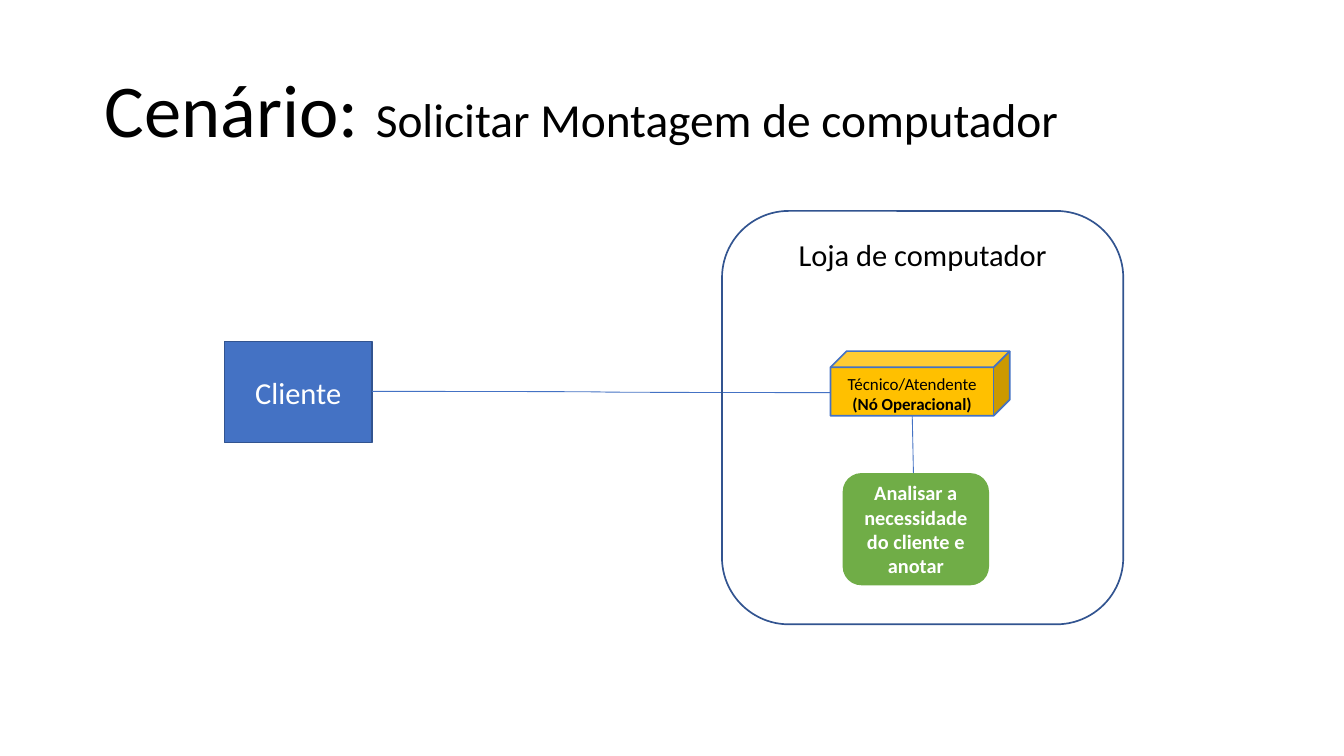
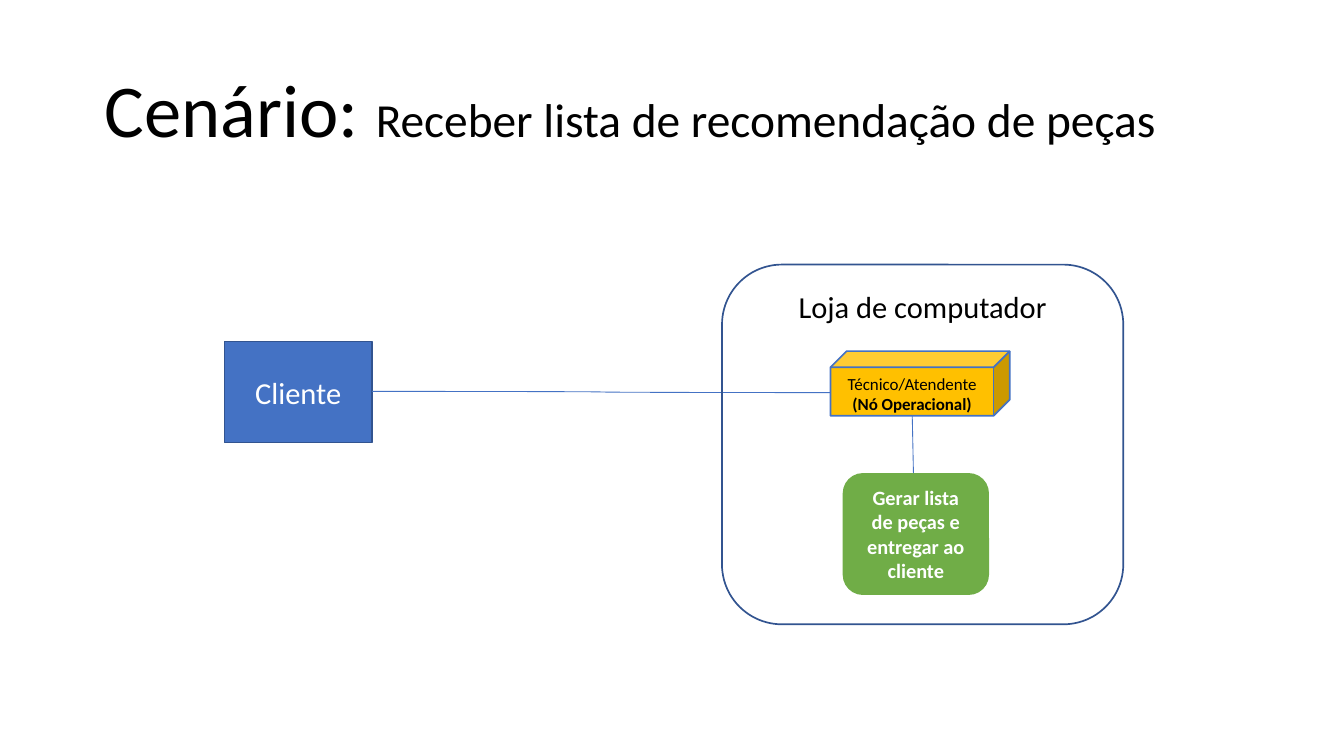
from lxml import etree
from pptx import Presentation
from pptx import util as u
from pptx.dml.color import RGBColor
from pptx.enum import shapes, text
from pptx.oxml.ns import qn

FONT = "Calibri"
BLACK, WHITE = "000000", "FFFFFF"
BLUE, NAVY, AMBER, GREEN = "4472C4", "325490", "FFC000", "70AD47"
SHAPE, LINK = shapes.MSO_SHAPE, shapes.MSO_CONNECTOR
TOP, MIDDLE = text.MSO_ANCHOR.TOP, text.MSO_ANCHOR.MIDDLE

TITLE_BOX = (0.76, 0.33, 9.51, 1.2)
DIAGRAM_BOX = (1.84, 1.73, 7.37, 3.39)
SCENARIOS = [
    ("Solicitar Montagem de computador", 0,
     "Analisar a necessidade do cliente e anotar", 0.92),
    ("Receber lista de recomendação de peças", 0.44,
     "Gerar lista de peças e entregar ao cliente", 1),
]


def paint(fmt, color):
    """Apply a solid hex colour to a fill, or clear it when there is none."""
    if color:
        fmt.solid()
        fmt.fore_color.rgb = RGBColor.from_string(color)
    else:
        fmt.background()


def style_run(r, size, color, bold=False):
    """Set the font of one run."""
    r.font.name, r.font.size, r.font.bold = FONT, u.Pt(size), bold
    paint(r.font.fill, color)


def add_node(s, kind, box, lines, size, color, fill=None, line=None,
             anchor=MIDDLE, bold=()):
    """Add a shape with centred lines of text, some of them bold."""
    sp = s.shapes.add_shape(kind, *map(u.Inches, box))
    sp.shadow.inherit = False
    paint(sp.fill, fill)
    paint(sp.line.fill, line)
    if line:
        sp.line.width = u.Pt(1)
    tf = sp.text_frame
    tf.word_wrap, tf.vertical_anchor = True, anchor
    tf.text = "\n".join(lines)
    for i, p in enumerate(tf.paragraphs):
        p.alignment = text.PP_ALIGN.CENTER
        style_run(p.runs[0], size, color, i in bold)


def add_link(s, kind, *ends):
    """Add a thin blue connector between two points."""
    c = s.shapes.add_connector(kind, *map(u.Inches, ends))
    paint(c.line.fill, BLUE)
    c.line.width = u.Pt(0.5)
    etree.SubElement(c.element.spPr, qn("a:effectLst"))


def add_title(s, box, scenario):
    """Add the title with a large label and a smaller scenario name."""
    tf = s.shapes.add_textbox(*map(u.Inches, box)).text_frame
    tf.word_wrap, tf.vertical_anchor = True, MIDDLE
    p = tf.paragraphs[0]
    p.line_spacing = 0.9
    for words, size in (("Cenário: ", 44), (scenario, 28)):
        r = p.add_run()
        r.text = words
        style_run(r, size, BLACK)


def add_diagram(s, box, shop_drop, task, task_height):
    """Add the client, the shop and the operational node with its task."""
    x, y, w, h = box
    shop_w, client_w = 3.29, 1.21
    node_x, node_y, node_h = x + 4.97, y + 1.15, 0.53
    task_y, link_y = y + 2.15, y + 1.48
    add_node(s, SHAPE.CUBE, (node_x, node_y, 1.47, node_h),
             ["Técnico/Atendente", "(Nó Operacional)"], 10, BLACK,
             AMBER, BLUE, TOP, bold=(1,))
    add_node(s, SHAPE.ROUNDED_RECTANGLE,
             (node_x + 0.1, task_y, 1.2, task_height),
             [task], 12, WHITE, GREEN, bold=(0,))
    add_node(s, SHAPE.RECTANGLE, (x, y + 1.07, client_w, 0.83),
             ["Cliente"], 18, WHITE, BLUE, NAVY)
    add_link(s, LINK.CURVE, x + client_w, link_y, node_x, link_y + 0.01)
    add_node(s, SHAPE.ROUNDED_RECTANGLE,
             (x + w - shop_w, y + shop_drop, shop_w, h - shop_drop),
             ["Loja de computador"], 18, BLACK, line=NAVY, anchor=TOP)
    add_link(s, LINK.STRAIGHT, node_x + 0.67, node_y + node_h,
             node_x + 0.68, task_y)


def main():
    """Build one slide for each scenario and save the deck."""
    prs = Presentation()
    prs.slide_width, prs.slide_height = u.Inches(11.02), u.Inches(6.2)
    for scenario, shop_drop, task, task_height in SCENARIOS:
        s = prs.slides.add_slide(prs.slide_layouts[6])
        add_title(s, TITLE_BOX, scenario)
        add_diagram(s, DIAGRAM_BOX, shop_drop, task, task_height)
    prs.save("out.pptx")


if __name__ == "__main__":
    main()
